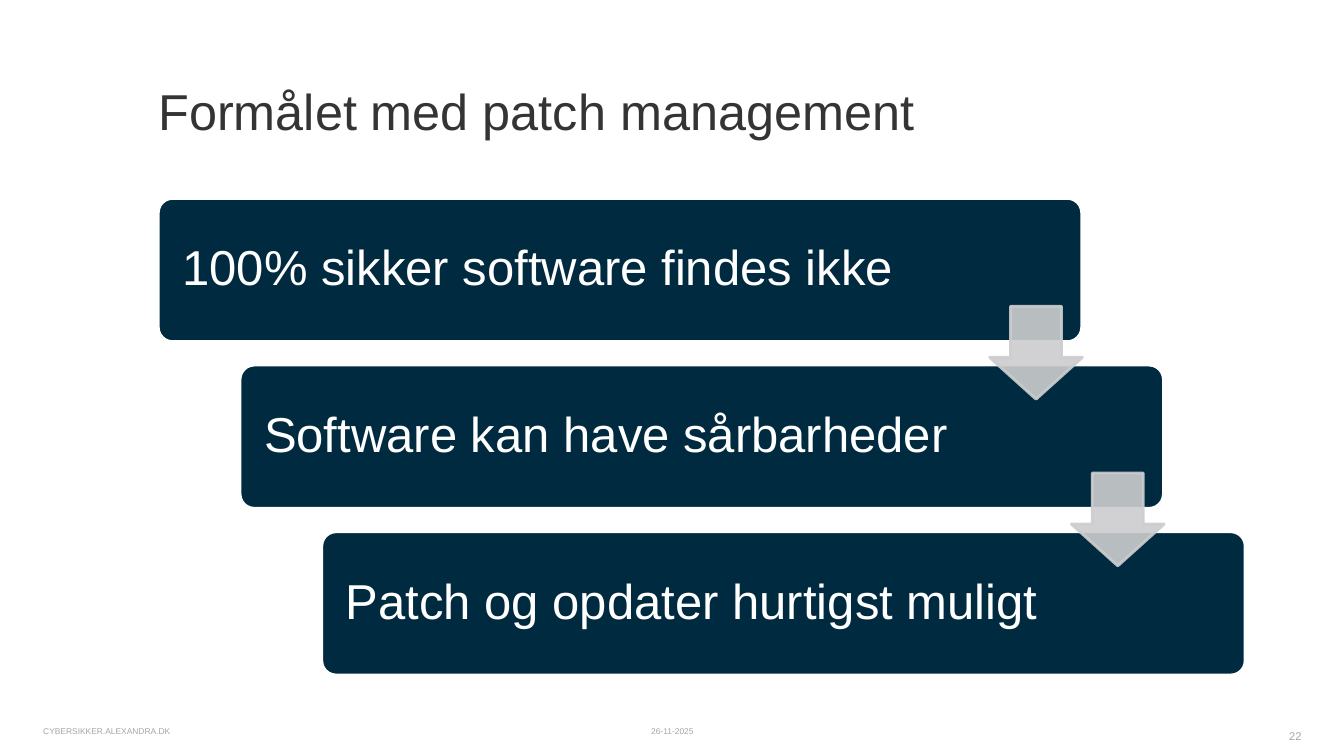
"""Build the slide on the purpose of patch management."""
from lxml import etree
from pptx import Presentation
from pptx.dml.color import RGBColor
from pptx.enum.shapes import MSO_SHAPE
from pptx.enum.text import MSO_ANCHOR, PP_ALIGN
from pptx.oxml.ns import qn
from pptx.util import Cm, Pt

NAVY = RGBColor(0x00, 0x2A, 0x3F)
WHITE = RGBColor(0xFF, 0xFF, 0xFF)
SILVER = RGBColor(0xCC, 0xCD, 0xCF)
CHARCOAL = RGBColor(0x34, 0x34, 0x34)
FOOTER_GREY = RGBColor(0xA6, 0xA6, 0xA6)

ROUNDED = MSO_SHAPE.ROUNDED_RECTANGLE
DOWN_ARROW = MSO_SHAPE.DOWN_ARROW
TOP, MIDDLE = MSO_ANCHOR.TOP, MSO_ANCHOR.MIDDLE
LEFT, CENTER, RIGHT = PP_ALIGN.LEFT, PP_ALIGN.CENTER, PP_ALIGN.RIGHT

FONT = "Arial"
TITLE_ONLY = 5
STEP_RIGHT, STEP_DOWN = 2.06, 4.2
STATEMENTS = (
    "100% sikker software findes ikke",
    "Software kan have sårbarheder",
    "Patch og opdater hurtigst muligt",
)
FOOTERS = (
    ("26-11-2025", (12.93, 18.21, 8.03, 0.51), 6, CENTER, 0.9),
    ("CYBERSIKKER.ALEXANDRA.DK", (0.84, 18.21, 8.71, 0.51), 6, LEFT, 0.9),
    ("22", (27.64, 18.24, 5.41, 0.61), 8, RIGHT, 1.0),
)


def write(holder, text, *, size, color, align=LEFT, anchor=TOP,
          spacing=1.0, inset_x=0.25, inset_y=0.13):
    """Put one formatted paragraph into a shape."""
    frame = holder.text_frame
    frame.word_wrap = True
    frame.vertical_anchor = anchor
    frame.margin_left = frame.margin_right = Cm(inset_x)
    frame.margin_top = frame.margin_bottom = Cm(inset_y)
    frame.text = text
    paragraph = frame.paragraphs[0]
    paragraph.alignment = align
    paragraph.line_spacing = spacing
    paragraph.space_before = Pt(0)
    paragraph.font.name = FONT
    paragraph.font.size = Pt(size)
    paragraph.font.color.rgb = color


def add_title(slide, text):
    """Place and format the title placeholder."""
    title = slide.shapes.title
    title.left, title.top = Cm(3.99), Cm(2.01)
    title.width, title.height = Cm(27.38), Cm(1.55)
    write(title, text, size=36, color=CHARCOAL, inset_x=0, inset_y=0)


def add_filled(slide, preset, place, adjustments, fill, outline):
    """Add a flat preset shape with a fill and a two-point outline."""
    figure = slide.shapes.add_shape(preset, *map(Cm, place))
    for index, value in enumerate(adjustments):
        figure.adjustments[index] = value
    figure.shadow.inherit = False
    figure.fill.solid()
    figure.fill.fore_color.rgb = fill
    figure.line.color.rgb = outline
    figure.line.width = Pt(2)
    return figure


def add_statement(slide, step, text):
    """Add one box of the staircase."""
    place = (3.99 + step * STEP_RIGHT, 5 + step * STEP_DOWN, 23.27, 3.61)
    box = add_filled(slide, ROUNDED, place, (0.1,), NAVY, WHITE)
    write(box, text, size=35, color=WHITE, anchor=MIDDLE, spacing=0.9,
          inset_x=0.5, inset_y=0.5)


def add_step_arrow(slide, step):
    """Add the translucent arrow that leads to the next box."""
    place = (24.94 + step * STEP_RIGHT, 7.72 + step * STEP_DOWN, 2.34, 2.34)
    arrow = add_filled(slide, DOWN_ARROW, place, (0.55, 0.45), SILVER, SILVER)
    for color in arrow.element.spPr.iter(qn("a:srgbClr")):
        etree.SubElement(color, qn("a:alpha"), val="90000")


def add_footer(slide, text, place, size, align, spacing):
    """Add one small grey text at the foot of the slide."""
    footer = slide.shapes.add_textbox(*map(Cm, place))
    write(footer, text, size=size, color=FOOTER_GREY, align=align,
          spacing=spacing)


def main():
    """Build and save the slide."""
    deck = Presentation()
    deck.slide_width, deck.slide_height = Cm(33.87), Cm(19.05)
    slide = deck.slides.add_slide(deck.slide_layouts[TITLE_ONLY])
    add_title(slide, "Formålet med patch management")
    for footer in FOOTERS:
        add_footer(slide, *footer)
    for step, statement in enumerate(STATEMENTS):
        add_statement(slide, step, statement)
    for step in range(len(STATEMENTS) - 1):
        add_step_arrow(slide, step)
    deck.save("out.pptx")


if __name__ == "__main__":
    main()
